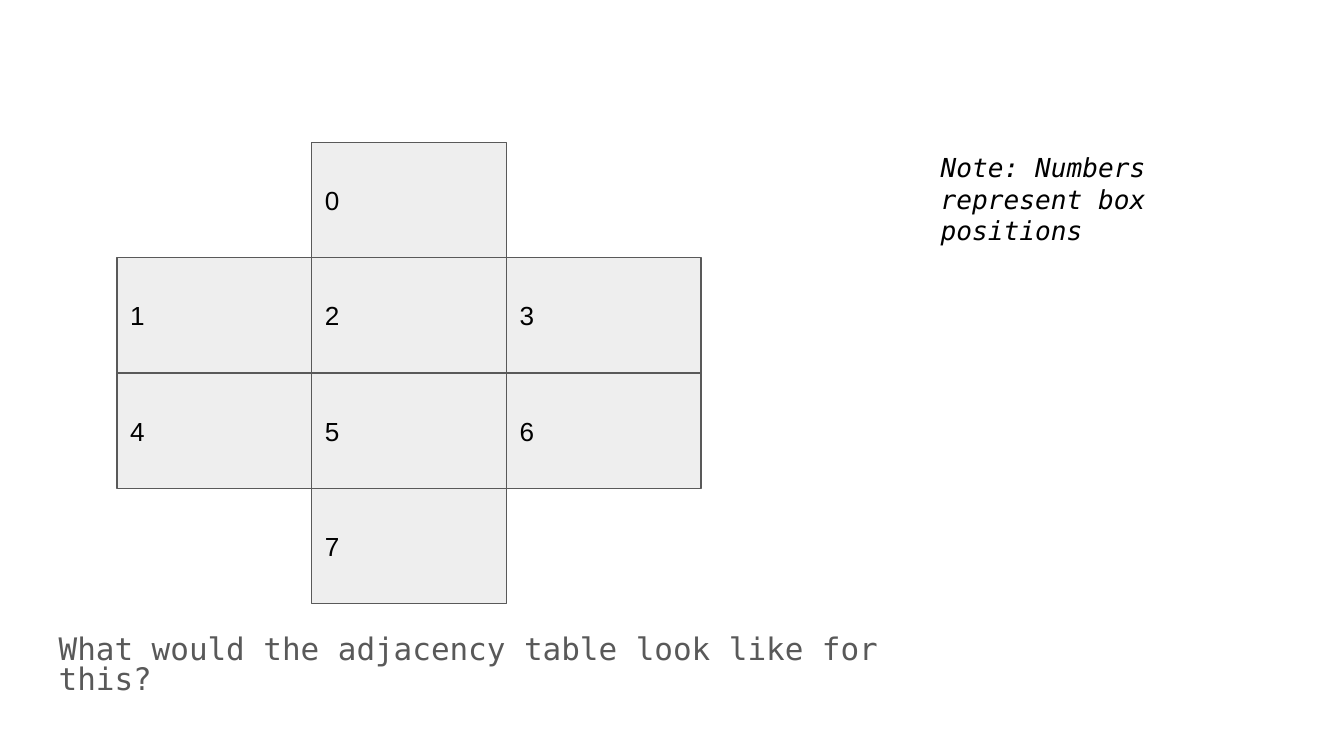
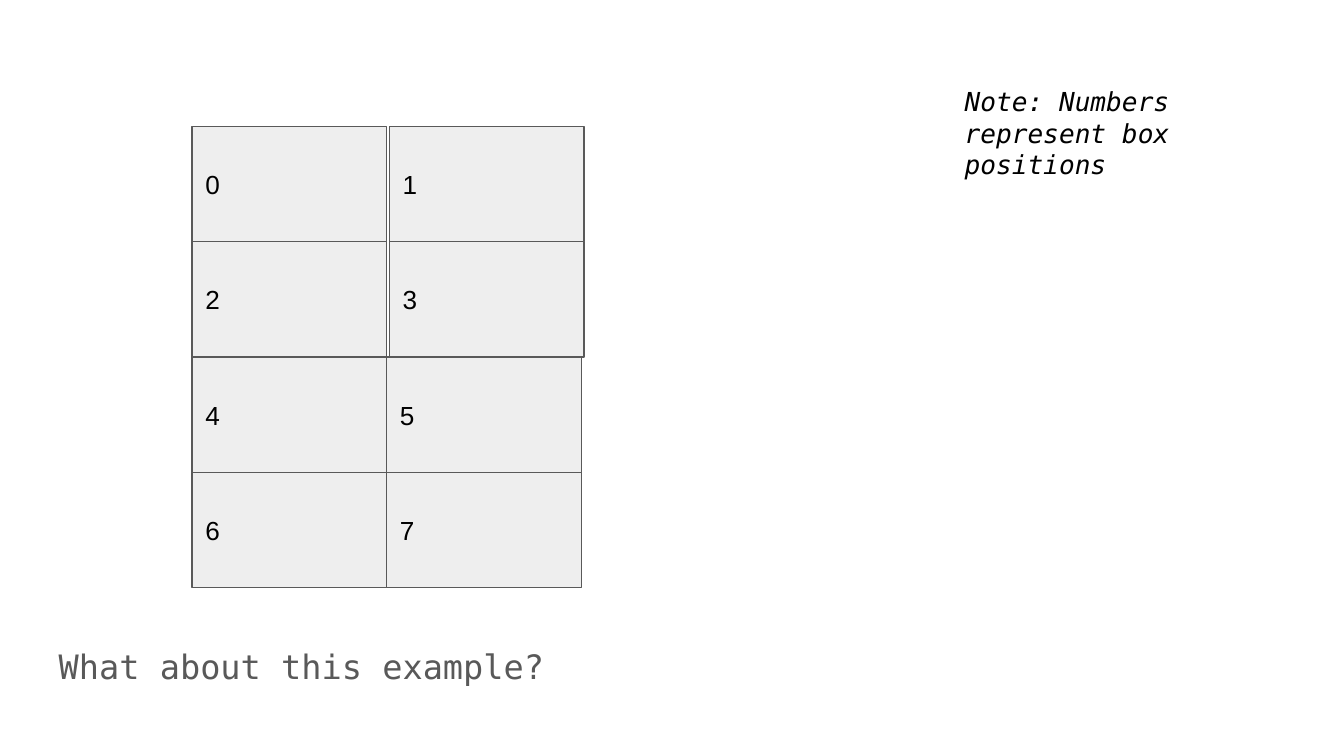
from itertools import count
from pptx import Presentation
from pptx.util import Cm, Pt
from pptx.dml.color import RGBColor
from pptx.enum import shapes, text

# Content: each row of boxes is (first column, number of boxes, gap in cm)
NOTE = "Note: Numbers represent box positions"
SLIDES = [
    {"ask": "What would the adjacency table look like for this?",
     "size": 16.6, "lead": 0.8, "grid": (2.21, 2.69), "note": (17.53, 2.62),
     "rows": [(1, 1, 0), (0, 3, 0), (0, 3, 0), (1, 1, 0)]},
    {"ask": "What about this example?",
     "size": 18, "lead": None, "grid": (3.63, 2.39), "note": (17.98, 1.37),
     "rows": [(0, 2, 0.05), (0, 2, 0.05), (0, 2, 0), (0, 2, 0)]},
]

# Shared style
COLORS = {"fill": "EEEEEE", "gray": "595959", "ink": "000000"}
MONO, SANS = "DejaVu Sans Mono", "Arial"
BOX_W, BOX_H = 3.68, 2.18
ASK = (0.86, 11.76, 16.66, 1.68)
NOTE_W, NOTE_H = 6.45, 2.31
PAD = 0.25


def color(name):
    return RGBColor.from_string(COLORS[name])


def write(shape, words, font, size, ink, middle=True, slant=None, lead=None):
    frame = shape.text_frame
    frame.word_wrap = True
    frame.margin_left = frame.margin_right = Cm(PAD)
    frame.margin_top = frame.margin_bottom = Cm(PAD)
    anchor = text.MSO_ANCHOR
    frame.vertical_anchor = anchor.MIDDLE if middle else anchor.TOP
    frame.text = words
    para = frame.paragraphs[0]
    para.alignment = text.PP_ALIGN.LEFT
    para.line_spacing = lead
    face = para.runs[0].font
    face.name, face.size, face.italic = font, Pt(size), slant
    face.color.rgb = color(ink)


def add_text(slide, place, words, size, ink, **style):
    box = slide.shapes.add_textbox(*map(Cm, place))
    write(box, words, MONO, size, ink, **style)
    return box


def add_box(slide, left, top, label):
    box = slide.shapes.add_shape(
        shapes.MSO_SHAPE.RECTANGLE, Cm(left), Cm(top), Cm(BOX_W), Cm(BOX_H))
    box.shadow.inherit = False
    box.fill.solid()
    box.fill.fore_color.rgb = color("fill")
    box.line.color.rgb = color("gray")
    box.line.width = Pt(0.75)
    write(box, label, SANS, 14, "ink")


def add_grid(slide, left, top, rows):
    number = count()
    for row, (first, total, gap) in enumerate(rows):
        for col in range(first, first + total):
            add_box(slide, left + col * (BOX_W + gap), top + row * BOX_H,
                    str(next(number)))


def main():
    deck = Presentation()
    deck.slide_width, deck.slide_height = Cm(25.4), Cm(14.29)
    for page in SLIDES:
        slide = deck.slides.add_slide(deck.slide_layouts[6])
        # Question, numbered boxes, note
        add_text(slide, ASK, page["ask"], page["size"], "gray",
                 lead=page["lead"])
        add_grid(slide, *page["grid"], page["rows"])
        note = add_text(slide, (*page["note"], NOTE_W, NOTE_H), NOTE, 14,
                        "ink", middle=False, slant=True)
        note.text_frame.auto_size = text.MSO_AUTO_SIZE.SHAPE_TO_FIT_TEXT
    deck.save("out.pptx")


if __name__ == "__main__":
    main()
